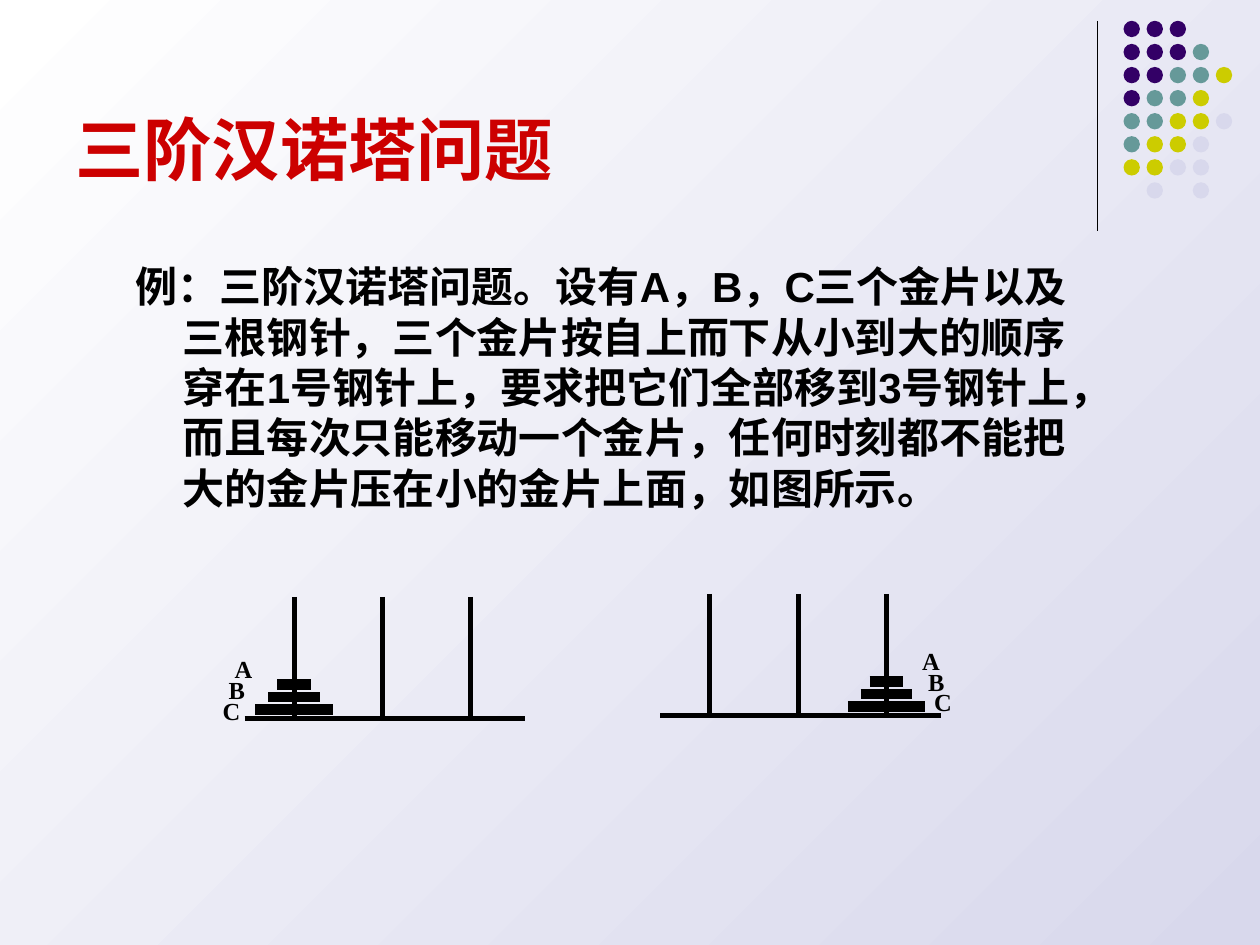
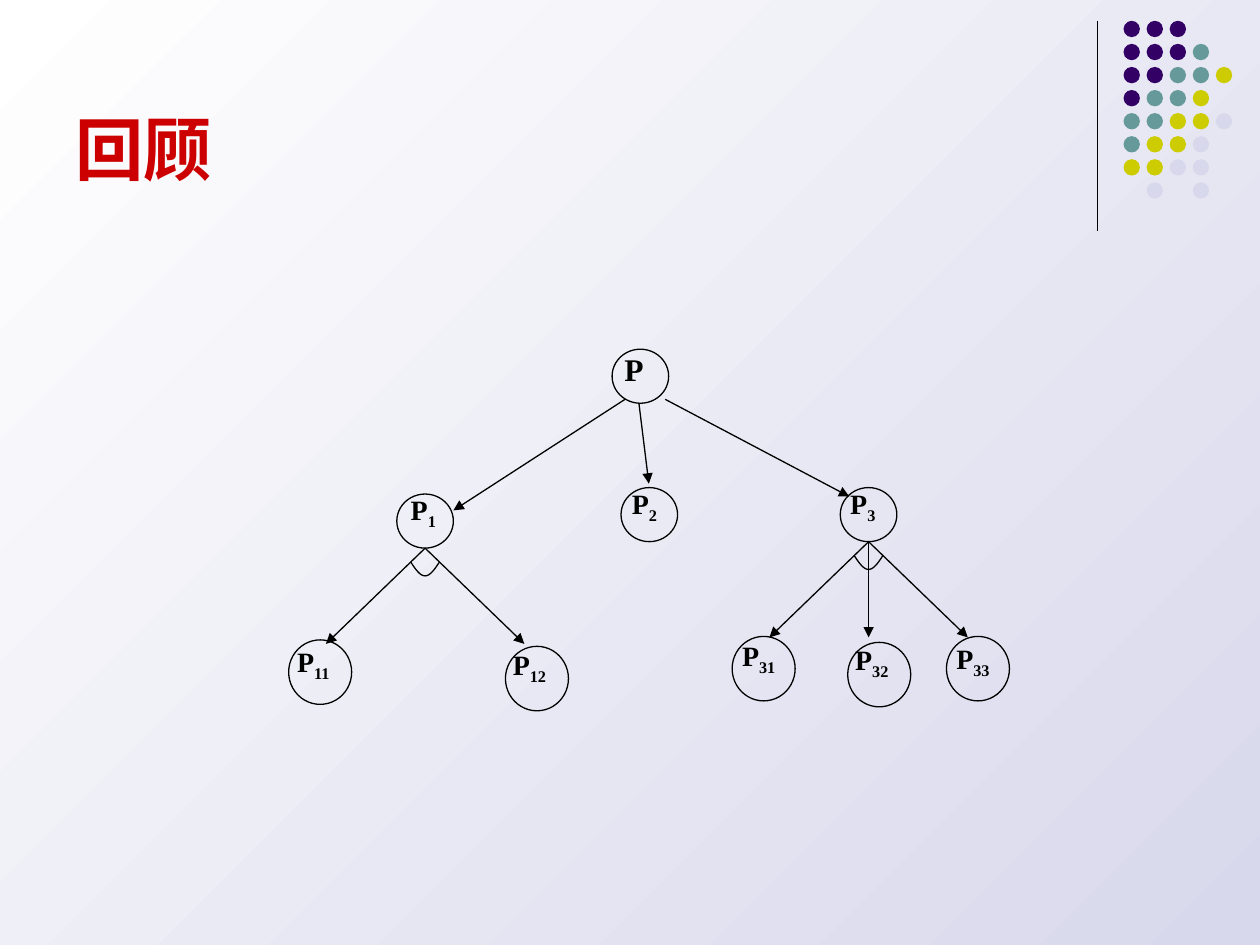
from dataclasses import dataclass
from math import cos, pi
from typing import NamedTuple

from lxml.etree import SubElement
from pptx import Presentation
from pptx.dml.color import RGBColor
from pptx.enum.shapes import MSO_CONNECTOR, MSO_SHAPE
from pptx.enum.text import MSO_ANCHOR, MSO_AUTO_SIZE
from pptx.oxml.ns import qn
from pptx.util import Cm, Pt


@dataclass(frozen=True)
class Theme:
    ink: RGBColor = RGBColor(0x00, 0x00, 0x00)
    title: RGBColor = RGBColor(0xCC, 0x00, 0x00)
    violet: RGBColor = RGBColor(0x33, 0x00, 0x66)
    teal: RGBColor = RGBColor(0x66, 0x99, 0x99)
    olive: RGBColor = RGBColor(0xCC, 0xCC, 0x00)
    lilac: RGBColor = RGBColor(0xD8, 0xD8, 0xEC)
    white: RGBColor = RGBColor(0xFF, 0xFF, 0xFF)
    sans: str = "Arial"
    serif: str = "Times New Roman"
    title_size: int = 39
    body_size: int = 24
    root_size: int = 18
    node_size: int = 16
    disc_size: int = 14
    thin: float = 0.75
    peg: float = 3
    disc: float = 6


THEME = Theme()


class Box(NamedTuple):
    """Left, top, width and height in centimetres."""
    x: float
    y: float
    w: float
    h: float


class Tower(NamedTuple):
    """Left end of the base, the peg holding the discs, and the disc labels."""
    x: float
    y: float
    peg: int
    label_box: Box
    indents: tuple[int, int, int]


class Node(NamedTuple):
    """Circle corner, subscript, label offset, and the fan of arrows below."""
    sub: str
    x: float
    y: float
    dx: float
    dy: float
    fan: tuple[float, ...] = ()

    @property
    def size(self) -> tuple[float, float]:
        return (1.27, 1.3) if len(self.sub) == 2 else (1.14, 1.09)


class Arrow(NamedTuple):
    x1: float
    y1: float
    x2: float
    y2: float


# Shared helpers
def set_format(obj, values: dict) -> None:
    for name, value in values.items():
        setattr(obj, name, value)


def add_run(p, text: str, font: str, size: float, color: RGBColor, sub: bool = False) -> None:
    r = p.add_run()
    r.text = text
    set_format(r.font, {"name": font, "size": Pt(size), "bold": True})
    r.font.color.rgb = color
    if sub:
        r._r.get_or_add_rPr().set("baseline", "-25000")


def add_text(s, box: Box, **frame):
    """Add an empty text box with the given frame settings."""
    tf = s.shapes.add_textbox(*map(Cm, box)).text_frame
    set_format(tf, {"word_wrap": True, **frame})
    return tf


def add_label(s, box: Box):
    return add_text(s, box, word_wrap=False, auto_size=MSO_AUTO_SIZE.SHAPE_TO_FIT_TEXT)


def add_line(s, x1: float, y1: float, x2: float, y2: float,
             width: float = THEME.thin, arrow: bool = False) -> None:
    sp = s.shapes.add_connector(MSO_CONNECTOR.STRAIGHT, *map(Cm, (x1, y1, x2, y2)))
    sp.line.color.rgb = THEME.ink
    sp.line.width = Pt(width)
    if arrow:
        SubElement(sp.line._get_or_add_ln(), qn("a:tailEnd"), type="triangle")
    SubElement(sp._element.spPr, qn("a:effectLst"))


def outline(sp) -> None:
    sp.shadow.inherit = False
    sp.fill.background()
    sp.line.color.rgb = THEME.ink
    sp.line.width = Pt(THEME.thin)


# Background, dots, rule and title on every slide
DOTS = ("VVV", "VVVT", "VVTTO", "VTTO", "TTOOL", "TOOL", "OOLL", " L L")
DOT_COLORS = {"V": THEME.violet, "T": THEME.teal, "O": THEME.olive, "L": THEME.lilac}
DOT_X, DOT_Y, DOT_PITCH, DOT_SIZE = 22.65, 0.42, 0.465, 0.33


def new_slide(prs, title: str):
    s = prs.slides.add_slide(prs.slide_layouts[6])
    fill = s.background.fill
    fill.gradient()
    fill.gradient_angle = 135
    for stop, color in zip(fill.gradient_stops, (THEME.lilac, THEME.white)):
        stop.color.rgb = color

    add_line(s, 22.12, 0.42, 22.12, 4.65)
    for row, codes in enumerate(DOTS):
        for col, code in enumerate(codes):
            if code == " ":
                continue
            sp = s.shapes.add_shape(
                MSO_SHAPE.OVAL, Cm(DOT_X + col * DOT_PITCH), Cm(DOT_Y + row * DOT_PITCH),
                Cm(DOT_SIZE), Cm(DOT_SIZE))
            sp.shadow.inherit = False
            sp.fill.solid()
            sp.fill.fore_color.rgb = DOT_COLORS[code]
            sp.line.fill.background()

    tf = add_text(s, Box(1.27, 0.33, 20.95, 3.6), vertical_anchor=MSO_ANCHOR.BOTTOM)
    add_run(tf.paragraphs[0], title, THEME.sans, THEME.title_size, THEME.title)
    return s


# Slide 1: the three-disc tower
PROBLEM = ("例：三阶汉诺塔问题。设有A，B，C三个金片以及三根钢针，三个金片按自上而下"
           "从小到大的顺序穿在1号钢针上，要求把它们全部移到3号钢针上，而且每次只能移动"
           "一个金片，任何时刻都不能把大的金片压在小的金片上面，如图所示。")
TOWERS = (
    Tower(4.93, 14.48, 0, Box(4.24, 13.23, 1.12, 1.5), (2, 1, 0)),
    Tower(13.31, 14.42, 2, Box(18.34, 13.06, 1.12, 1.5), (0, 1, 2)),
)
BASE_W, PEG_H, FIRST_PEG, PEG_PITCH = 5.66, 2.45, 1.0, 1.78
DISC_WIDTHS = (1.56, 1.04, 0.68)
DISC_LIFT, DISC_PITCH, LABEL_STEP = 0.18, 0.25, 0.12


def draw_tower(s, t: Tower) -> None:
    add_line(s, t.x, t.y, t.x + BASE_W, t.y, THEME.peg)
    pegs = [t.x + FIRST_PEG + i * PEG_PITCH for i in range(3)]
    for x in pegs:
        add_line(s, x, t.y - PEG_H, x, t.y, THEME.peg)
    for i, w in enumerate(DISC_WIDTHS):
        x, y = pegs[t.peg], t.y - DISC_LIFT - i * DISC_PITCH
        add_line(s, x - w / 2, y, x + w / 2, y, THEME.disc)

    tf = add_label(s, t.label_box)
    for i, (name, steps) in enumerate(zip("ABC", t.indents)):
        p = tf.add_paragraph() if i else tf.paragraphs[0]
        p.line_spacing = 0.7
        p._p.get_or_add_pPr().set("marL", str(Cm(steps * LABEL_STEP)))
        add_run(p, name, THEME.serif, THEME.disc_size, THEME.ink)


def hanoi_slide(prs) -> None:
    s = new_slide(prs, "三阶汉诺塔问题")
    p = add_text(s, Box(2.49, 5.13, 20.04, 2.72)).paragraphs[0]
    pPr = p._p.get_or_add_pPr()
    for name, value in {"marL": Cm(0.95), "indent": Cm(-0.95)}.items():
        pPr.set(name, str(value))
    add_run(p, PROBLEM, THEME.sans, THEME.body_size, THEME.ink)
    for t in TOWERS:
        draw_tower(s, t)


# Slide 2: the and/or tree
NODES = (
    Node("", 12.34, 7.04, 0, -0.1),
    Node("1", 8.0, 9.96, 0.03, -0.15, (-2, 2)),
    Node("2", 12.52, 9.83, -0.03, -0.15),
    Node("3", 16.94, 9.83, -0.05, -0.15, (-2, 0, 2)),
    Node("11", 5.82, 12.9, -0.08, -0.03),
    Node("12", 10.19, 13.03, -0.1, -0.1),
    Node("31", 14.76, 12.83, -0.05, -0.08),
    Node("32", 17.09, 12.95, -0.1, -0.13),
    Node("33", 19.08, 12.83, -0.05, -0.03),
)
ROOT_ARROWS = (
    Arrow(12.6, 8.05, 9.14, 10.29),
    Arrow(12.88, 8.13, 13.08, 9.75),
    Arrow(13.41, 8.05, 17.12, 10.01),
)
FAN_H, ARC_TOP, ARC_HALF, ARC_DEPTH, ARC_STEPS = 1.93, 0.28, 0.29, 0.28, 20


def draw_and_arc(s, x: float, y: float) -> None:
    """Join a fan of arrows with an arc below its starting point."""
    ts = [2 * i / ARC_STEPS - 1 for i in range(ARC_STEPS + 1)]
    pts = [(Cm(x + t * ARC_HALF), Cm(y + ARC_TOP + ARC_DEPTH * cos(pi * t / 2))) for t in ts]
    fb = s.shapes.build_freeform(*pts[0])
    fb.add_line_segments(pts[1:], close=False)
    outline(fb.convert_to_shape())


def draw_node(s, n: Node) -> None:
    w, h = n.size
    outline(s.shapes.add_shape(MSO_SHAPE.OVAL, *map(Cm, (n.x, n.y, w, h))))
    label_w = 0.89 + 0.15 * len(n.sub)
    p = add_label(s, Box(n.x + n.dx, n.y + n.dy, label_w, 1.04)).paragraphs[0]
    size = THEME.node_size if n.sub else THEME.root_size
    add_run(p, "P", THEME.serif, size, THEME.ink)
    if n.sub:
        add_run(p, n.sub, THEME.serif, size, THEME.ink, sub=True)

    x, y = n.x + w / 2, n.y + h
    for dx in n.fan:
        add_line(s, x, y, x + dx, y + FAN_H, arrow=True)
    if n.fan:
        draw_and_arc(s, x, y)


def review_slide(prs) -> None:
    s = new_slide(prs, "回顾")
    for n in NODES:
        draw_node(s, n)
    for a in ROOT_ARROWS:
        add_line(s, *a, arrow=True)


def main() -> None:
    prs = Presentation()
    prs.slide_width, prs.slide_height = Cm(25.4), Cm(19.05)
    hanoi_slide(prs)
    review_slide(prs)
    prs.save("out.pptx")


if __name__ == "__main__":
    main()
